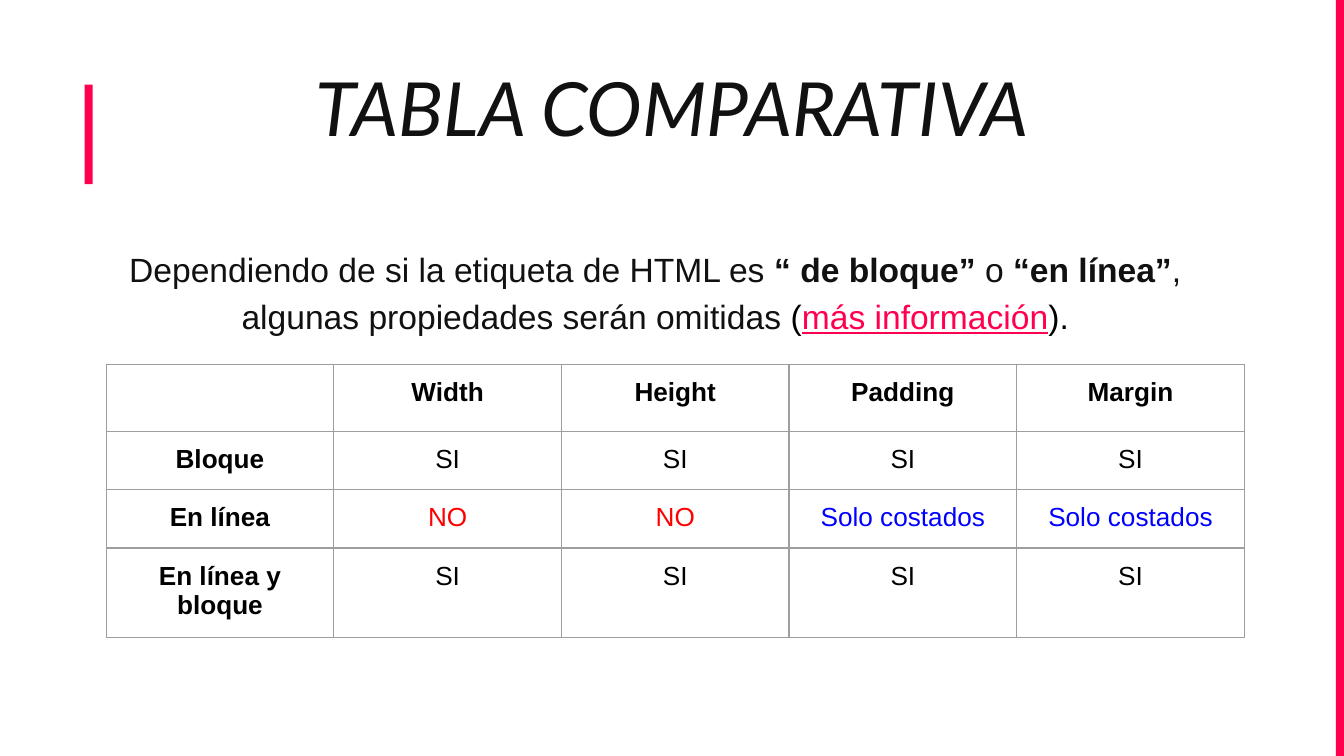
import pptx
import pptx.util
import pptx.dml.color
import pptx.enum.shapes
import pptx.enum.text
import pptx.oxml.ns
import lxml.etree

RGB = pptx.dml.color.RGBColor
PINK = RGB(0xFF, 0x00, 0x4E)
INK = RGB(0x11, 0x11, 0x11)
BLACK = RGB(0, 0, 0)
RED = RGB(0xFF, 0, 0)
BLUE = RGB(0, 0, 0xFF)
GREY = RGB(0x9E, 0x9E, 0x9E)
WIDE = 10
HIGH = WIDE * 9 / 16
PAD = pptx.util.Inches(0.1)
CENTER = pptx.enum.text.PP_ALIGN.CENTER

HEADS = ["", "Width", "Height", "Padding", "Margin"]
ROWS = [
    HEADS,
    ["Bloque"] + ["SI"] * 4,
    ["En línea"] + ["NO"] * 2 + ["Solo costados"] * 2,
    ["En línea y bloque"] + ["SI"] * 4,
]
TINTS = {"NO": RED, "Solo costados": BLUE}


def inches(*nums):
    return [pptx.util.Inches(num) for num in nums]


def pad(item):
    item.margin_left = item.margin_right = PAD
    item.margin_top = item.margin_bottom = PAD


def style(run, size, color, name="Arial", bold=False):
    font = run.font
    font.size = pptx.util.Pt(size)
    font.name = name
    font.bold = bold
    font.color.rgb = color


def add_bar(slide, x, y, w, h):
    kind = pptx.enum.shapes.MSO_SHAPE.RECTANGLE
    bar = slide.shapes.add_shape(kind, *inches(x, y, w, h))
    bar.shadow.inherit = False
    bar.fill.solid()
    bar.fill.fore_color.rgb = PINK
    bar.line.fill.background()


def add_para(slide, x, y, w, h):
    frame = slide.shapes.add_textbox(*inches(x, y, w, h)).text_frame
    frame.word_wrap = True
    pad(frame)
    para = frame.paragraphs[0]
    para.alignment = CENTER
    para.line_spacing = 1.15
    return para


def add_title(slide):
    para = add_para(slide, 1.59, 0.26, 6.82, 0.76)
    para.space_before = pptx.util.Pt(20)
    para.space_after = pptx.util.Pt(6)
    para.text = "TABLA COMPARATIVA"
    run = para.runs[0]
    style(run, 40, INK, "Lato")
    run.font.italic = True


def add_intro(slide):
    para = add_para(slide, 0.6, 1.71, 8.55, 0.84)
    parts = [
        ("Dependiendo de si la etiqueta de HTML es ", INK, False),
        ("“ de bloque”", INK, True),
        (" o ", INK, False),
        ("“en línea”", INK, True),
        (", algunas propiedades serán omitidas", INK, False),
        (" (", BLACK, False),
        ("más información", PINK, False),
        (").", BLACK, False),
    ]
    for text, color, bold in parts:
        run = para.add_run()
        run.text = text
        style(run, 18, color, bold=bold)
        run.font.underline = color == PINK


def add_edges(cell):
    qn = pptx.oxml.ns.qn
    props = cell._tc.get_or_add_tcPr()
    for side in "LRTB":
        line = lxml.etree.SubElement(props, qn("a:ln" + side))
        line.set("w", str(pptx.util.Pt(0.75)))
        fill = lxml.etree.SubElement(line, qn("a:solidFill"))
        lxml.etree.SubElement(fill, qn("a:srgbClr")).set("val", str(GREY))


def fill_cell(cell, text, bold):
    add_edges(cell)
    cell.fill.background()
    pad(cell)
    if text:
        cell.text_frame.text = text
        para = cell.text_frame.paragraphs[0]
        para.alignment = CENTER
        style(para.runs[0], 14, TINTS.get(text, BLACK), bold=bold)


def add_grid(slide):
    size = inches(0.79, 2.71, 8.47, 0.42 * len(ROWS))
    table = slide.shapes.add_table(len(ROWS), len(HEADS), *size).table
    table.first_row = table.horz_banding = False
    for r, texts in enumerate(ROWS):
        for c, text in enumerate(texts):
            fill_cell(table.cell(r, c), text, r == 0 or c == 0)


def main():
    deck = pptx.Presentation()
    deck.slide_width, deck.slide_height = inches(WIDE, HIGH)
    slide = deck.slides.add_slide(deck.slide_layouts[6])
    add_bar(slide, 0.63, 0.63, 0.06, 0.74)
    add_bar(slide, WIDE - 0.06, 0, 0.06, HIGH)
    add_title(slide)
    add_intro(slide)
    add_grid(slide)
    deck.save("out.pptx")


if __name__ == "__main__":
    main()
